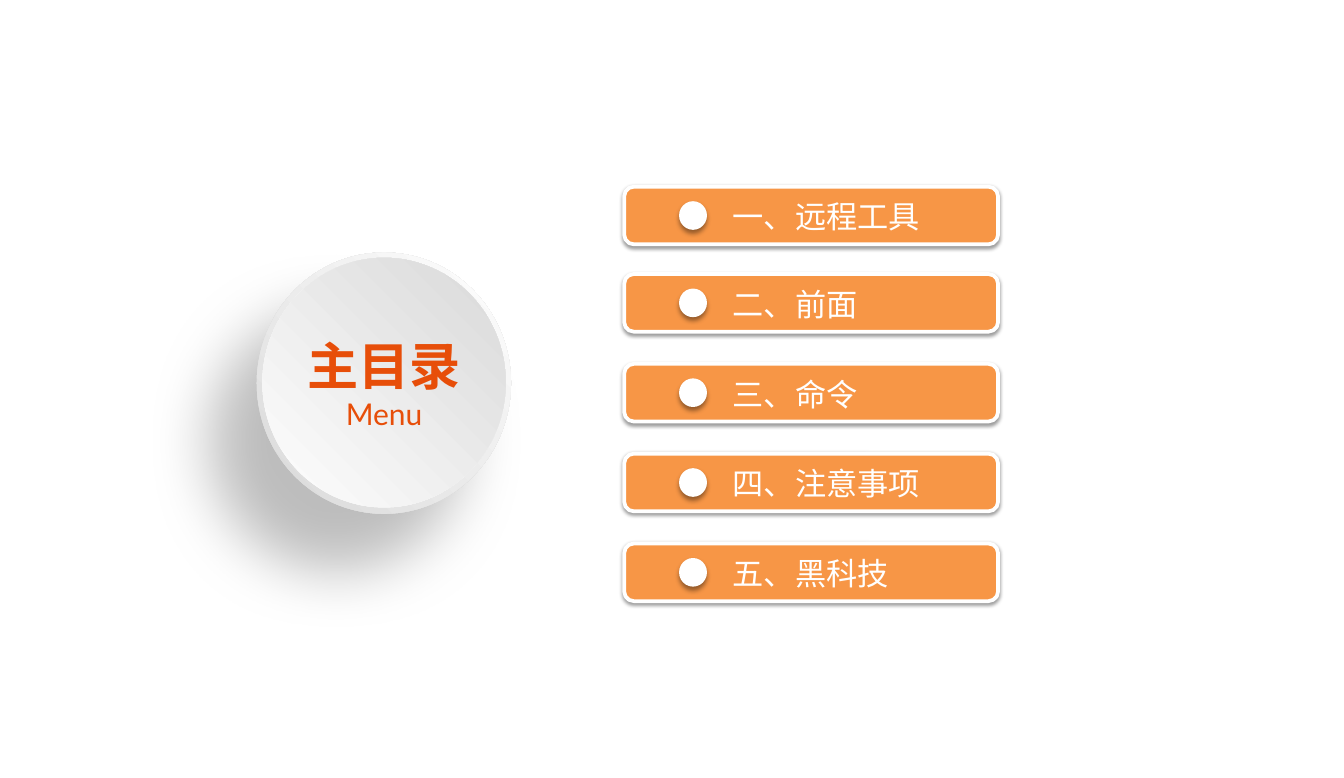
from lxml.etree import SubElement
from pptx import Presentation
from pptx.dml.color import RGBColor
from pptx.enum.shapes import MSO_SHAPE
from pptx.enum.text import MSO_ANCHOR, PP_ALIGN
from pptx.oxml.ns import qn
from pptx.util import Cm, Pt

WHITE = RGBColor(0xFF, 0xFF, 0xFF)
NEAR_WHITE = RGBColor(0xFE, 0xFE, 0xFE)
GRAY = RGBColor(0xD9, 0xD9, 0xD9)
BLACK = RGBColor(0, 0, 0)
ORANGE = RGBColor(0xF7, 0x96, 0x46)
RED_ORANGE = RGBColor(0xE7, 0x4E, 0x09)

LATIN_FONT = "Lato"
CHINESE_FONT = "Noto Sans CJK SC"

DISC_SHADOW = {"alpha": 25, "blur": 50, "distance": 60, "angle": 130}
BAR_SHADOW = {"alpha": 38, "blur": 3.1, "distance": 1.6, "angle": 90}
DOT_SHADOW = {"alpha": 40, "blur": 4, "distance": 3, "angle": 90}

TITLE_FORMAT = {"name": LATIN_FONT, "size": Pt(41), "bold": True}
SUBTITLE_FORMAT = {"name": LATIN_FONT, "size": Pt(24), "bold": False}
ITEM_FORMAT = {"name": CHINESE_FONT, "size": Pt(25)}

MENU_ITEMS = [
    ("一、远程工具", 5.28),
    ("二、前面", 7.75),
    ("三、命令", 10.29),
    ("四、注意事项", 12.83),
    ("五、黑科技", 15.37),
]


def add_plain_shape(slide, kind, left, top, width, height):
    shape = slide.shapes.add_shape(kind, Cm(left), Cm(top), Cm(width), Cm(height))
    shape.shadow.inherit = False
    shape.line.fill.background()
    return shape


def fill_solid(shape, color):
    shape.fill.solid()
    shape.fill.fore_color.rgb = color


def fill_radial(shape, inner_color, outer_color):
    shape.fill.gradient()
    for stop, color in zip(shape.fill.gradient_stops, (inner_color, outer_color)):
        stop.color.rgb = color
    gradient = shape._element.spPr.find(qn("a:gradFill"))
    gradient.remove(gradient.find(qn("a:lin")))
    circle = SubElement(gradient, qn("a:path"), {"path": "circle"})
    SubElement(circle, qn("a:fillToRect"), {"l": "100000", "b": "100000"})


def add_shadow(shape, alpha, blur, distance, angle):
    effects = shape._element.spPr.find(qn("a:effectLst"))
    shadow = SubElement(effects, qn("a:outerShdw"), {
        "blurRad": str(Pt(blur)),
        "dist": str(Pt(distance)),
        "dir": str(angle * 60000),
        "algn": "ctr",
        "rotWithShape": "0",
    })
    color = SubElement(shadow, qn("a:srgbClr"), {"val": str(BLACK)})
    SubElement(color, qn("a:alpha"), {"val": str(alpha * 1000)})


def add_run(paragraph, text, color, font_format):
    run = paragraph.add_run()
    run.text = text
    for name, value in font_format.items():
        setattr(run.font, name, value)
    run.font.color.rgb = color
    SubElement(run._r.get_or_add_rPr(), qn("a:ea"), {"typeface": CHINESE_FONT})


def add_title_disc(slide):
    rim = add_plain_shape(slide, MSO_SHAPE.OVAL, 7.26, 7.14, 7.19, 7.39)
    fill_radial(rim, WHITE, GRAY)
    add_shadow(rim, **DISC_SHADOW)

    face = add_plain_shape(slide, MSO_SHAPE.OVAL, 7.42, 7.29, 6.88, 7.06)
    fill_radial(face, GRAY, NEAR_WHITE)
    frame_format = {"margin_left": 0, "margin_right": 0,
                    "vertical_anchor": MSO_ANCHOR.MIDDLE, "word_wrap": True}
    for name, value in frame_format.items():
        setattr(face.text_frame, name, value)
    paragraph = face.text_frame.paragraphs[0]
    paragraph.alignment = PP_ALIGN.CENTER
    add_run(paragraph, "主目录", RED_ORANGE, TITLE_FORMAT)
    paragraph.add_line_break()
    add_run(paragraph, "Menu", RED_ORANGE, SUBTITLE_FORMAT)


def add_menu_item(slide, text, top):
    bar = add_plain_shape(slide, MSO_SHAPE.ROUNDED_RECTANGLE, 17.65, top, 10.57, 1.63)
    fill_solid(bar, ORANGE)
    bar.line.color.rgb = WHITE
    bar.line.width = Pt(3)
    add_shadow(bar, **BAR_SHADOW)

    dot = add_plain_shape(slide, MSO_SHAPE.OVAL, 19.2, top + 0.41, 0.79, 0.81)
    fill_solid(dot, WHITE)
    add_shadow(dot, **DOT_SHADOW)

    label = slide.shapes.add_textbox(Cm(20.47), Cm(top + 0.18), Cm(6.81), Cm(1.32))
    label.text_frame.word_wrap = True
    label.text_frame.vertical_anchor = MSO_ANCHOR.MIDDLE
    add_run(label.text_frame.paragraphs[0], text, WHITE, ITEM_FORMAT)


def main():
    presentation = Presentation()
    presentation.slide_width = Cm(38)
    presentation.slide_height = Cm(22)
    slide = presentation.slides.add_slide(presentation.slide_layouts[6])
    add_title_disc(slide)
    for text, top in MENU_ITEMS:
        add_menu_item(slide, text, top)
    presentation.save("out.pptx")


if __name__ == "__main__":
    main()
